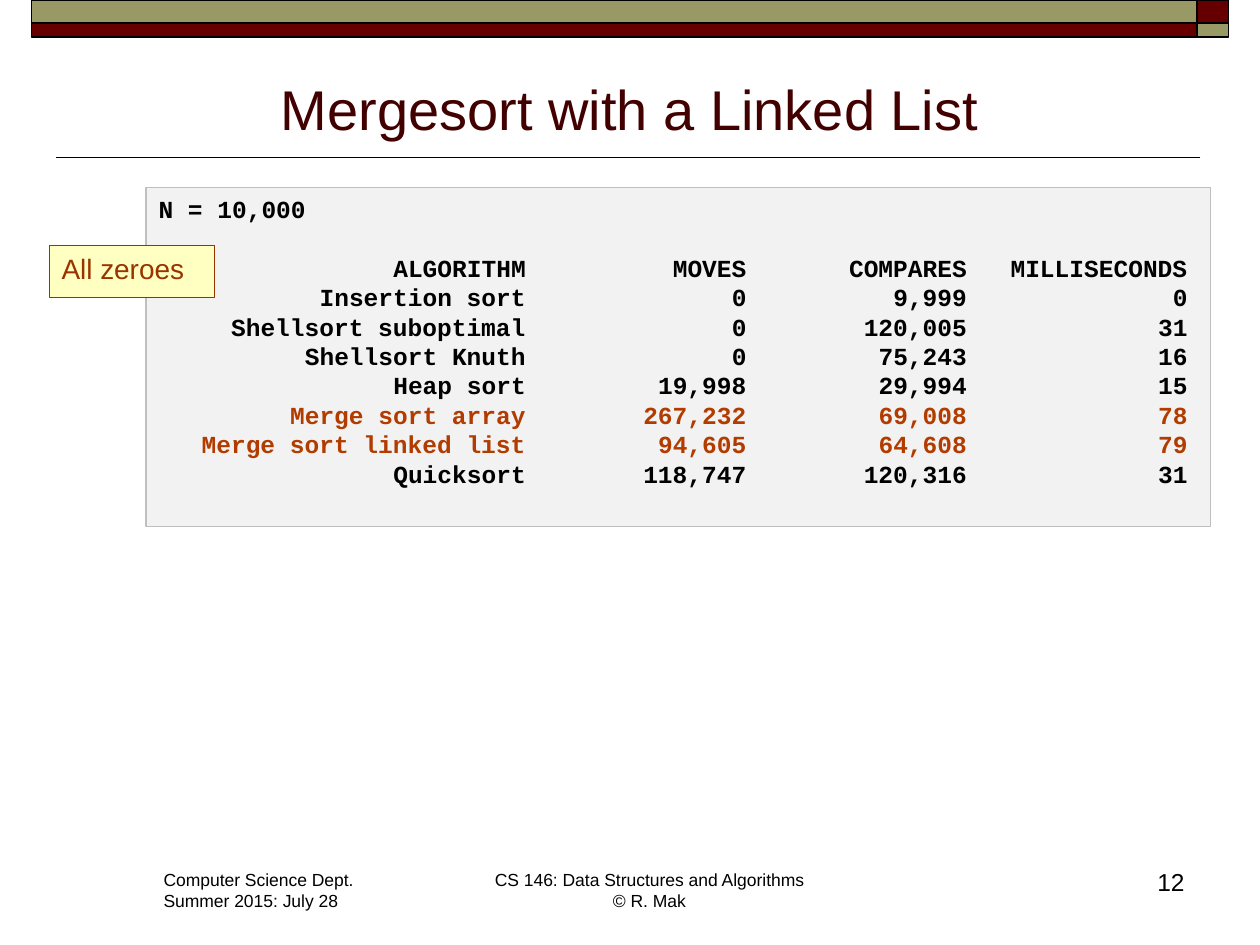
from dataclasses import dataclass

from lxml.etree import SubElement
from pptx import Presentation
from pptx.dml.color import RGBColor
from pptx.enum.shapes import MSO_CONNECTOR, MSO_SHAPE
from pptx.enum.text import MSO_ANCHOR, PP_ALIGN
from pptx.oxml.ns import qn
from pptx.util import Pt


@dataclass(frozen=True)
class Theme:
    sans: str = "Arial"
    mono: str = "Courier New"
    black: str = "000000"
    maroon: str = "660000"
    olive: str = "999966"
    title: str = "420000"
    panel: str = "F2F2F2"
    panel_edge: str = "BFBFBF"
    note: str = "FFFFC2"
    note_ink: str = "993300"
    highlight: str = "B23C00"
    title_size: float = 32
    note_size: float = 16
    body_size: float = 14
    footer_size: float = 10


class Deck:
    def __init__(self, theme):
        self.theme = theme
        self.prs = Presentation()
        self.prs.slide_width, self.prs.slide_height = Pt(720), Pt(540)
        self.s = self.prs.slides.add_slide(self.prs.slide_layouts[6])

    def font(self, p, size, color, name=None, bold=False):
        p.font.name = name or self.theme.sans
        p.font.size = Pt(size)
        p.font.bold = bold
        p.font.color.rgb = RGBColor.from_string(color)

    def box(self, x, y, w, h, fill, edge, weight=1):
        sp = self.s.shapes.add_shape(MSO_SHAPE.RECTANGLE, Pt(x), Pt(y), Pt(w), Pt(h))
        sp.shadow.inherit = False
        sp.fill.solid()
        sp.fill.fore_color.rgb = RGBColor.from_string(fill)
        sp.line.color.rgb = RGBColor.from_string(edge)
        sp.line.width = Pt(weight)
        return sp

    def rule(self, x1, x2, y):
        line = self.s.shapes.add_connector(MSO_CONNECTOR.STRAIGHT, Pt(x1), Pt(y), Pt(x2), Pt(y))
        line.line.color.rgb = RGBColor.from_string(self.theme.black)
        line.line.width = Pt(1)
        SubElement(line._element.spPr, qn("a:effectLst"))

    def text(self, x, y, w, h, text, size, color, align=PP_ALIGN.LEFT, anchor=MSO_ANCHOR.TOP):
        tf = self.s.shapes.add_textbox(Pt(x), Pt(y), Pt(w), Pt(h)).text_frame
        tf.word_wrap = True
        tf.vertical_anchor = anchor
        tf.text = text
        for p in tf.paragraphs:
            p.alignment = align
            self.font(p, size, color)

    def note(self, x, y, w, h, text):
        t = self.theme
        tf = self.box(x, y, w, h, t.note, t.note_ink, 0.75).text_frame
        tf.word_wrap = True
        tf.vertical_anchor = MSO_ANCHOR.TOP
        p = tf.paragraphs[0]
        p.text = text
        p.alignment = PP_ALIGN.LEFT
        self.font(p, t.note_size, t.note_ink)

    def listing(self, x, y, w, h, heading, rows, stops, highlighted):
        """Draw a monospaced panel whose columns end at right-aligned tab stops."""
        t = self.theme
        pitch = 1.2 * t.body_size
        tf = self.box(x, y, w, h, t.panel, t.panel_edge, 0.75).text_frame
        tf.word_wrap = True
        tf.vertical_anchor = MSO_ANCHOR.TOP
        lines = [heading] + ["".join("\t" + cell for cell in row) for row in rows]
        for i, line in enumerate(lines):
            p = tf.paragraphs[0] if i == 0 else tf.add_paragraph()
            p.text = line
            p.alignment = PP_ALIGN.LEFT
            p.line_spacing = Pt(pitch)
            color = t.highlight if i and rows[i - 1][0] in highlighted else t.black
            self.font(p, t.body_size, color, t.mono, bold=True)
            if i == 0:
                p.space_after = Pt(pitch)
            else:
                self.tab_stops(p, stops)

    def tab_stops(self, p, stops):
        tabs = SubElement(p._p.get_or_add_pPr(), qn("a:tabLst"))
        for stop in stops:
            SubElement(tabs, qn("a:tab"), pos=str(Pt(stop)), algn="r")
        tabs.getparent().find(qn("a:defRPr")).addprevious(tabs)


ROWS = [
    ("ALGORITHM", "MOVES", "COMPARES", "MILLISECONDS"),
    ("Insertion sort", "0", "9,999", "0"),
    ("Shellsort suboptimal", "0", "120,005", "31"),
    ("Shellsort Knuth", "0", "75,243", "16"),
    ("Heap sort", "19,998", "29,994", "15"),
    ("Merge sort array", "267,232", "69,008", "78"),
    ("Merge sort linked list", "94,605", "64,608", "79"),
    ("Quicksort", "118,747", "120,316", "31"),
]


def main():
    t = Theme()
    deck = Deck(t)

    deck.rule(686, 32, 90)
    left, split, right = 18, 684, 702
    for y, h, band, corner in [(0, 13, t.olive, t.maroon), (13, 8, t.maroon, t.olive)]:
        deck.box(left, y, split - left, h, band, t.black)
        deck.box(split, y, right - split, h, corner, t.black)

    deck.text(36, 32.4, 648, 52, "Mergesort with a Linked List", t.title_size, t.title,
              PP_ALIGN.CENTER, MSO_ANCHOR.BOTTOM)

    char = 0.6 * t.body_size
    stops = [char * column for column in (25, 40, 55, 70)]
    deck.listing(83.5, 107.3, 608.4, 193.7, "N = 10,000", ROWS, stops,
                 {"Merge sort array", "Merge sort linked list"})
    deck.note(28.1, 140.4, 94.3, 29.5, "All zeroes")

    deck.text(86.4, 493.2, 124.6, 31.7, "Computer Science Dept.\nSummer 2015: July 28",
              t.footer_size, t.black)
    deck.text(275, 493.2, 192.2, 31.7, "CS 146: Data Structures and Algorithms\v© R. Mak",
              t.footer_size, t.black, PP_ALIGN.CENTER)
    deck.text(534, 491.8, 150, 36, "12", t.body_size, t.black, PP_ALIGN.RIGHT)

    deck.prs.save("out.pptx")


if __name__ == "__main__":
    main()
